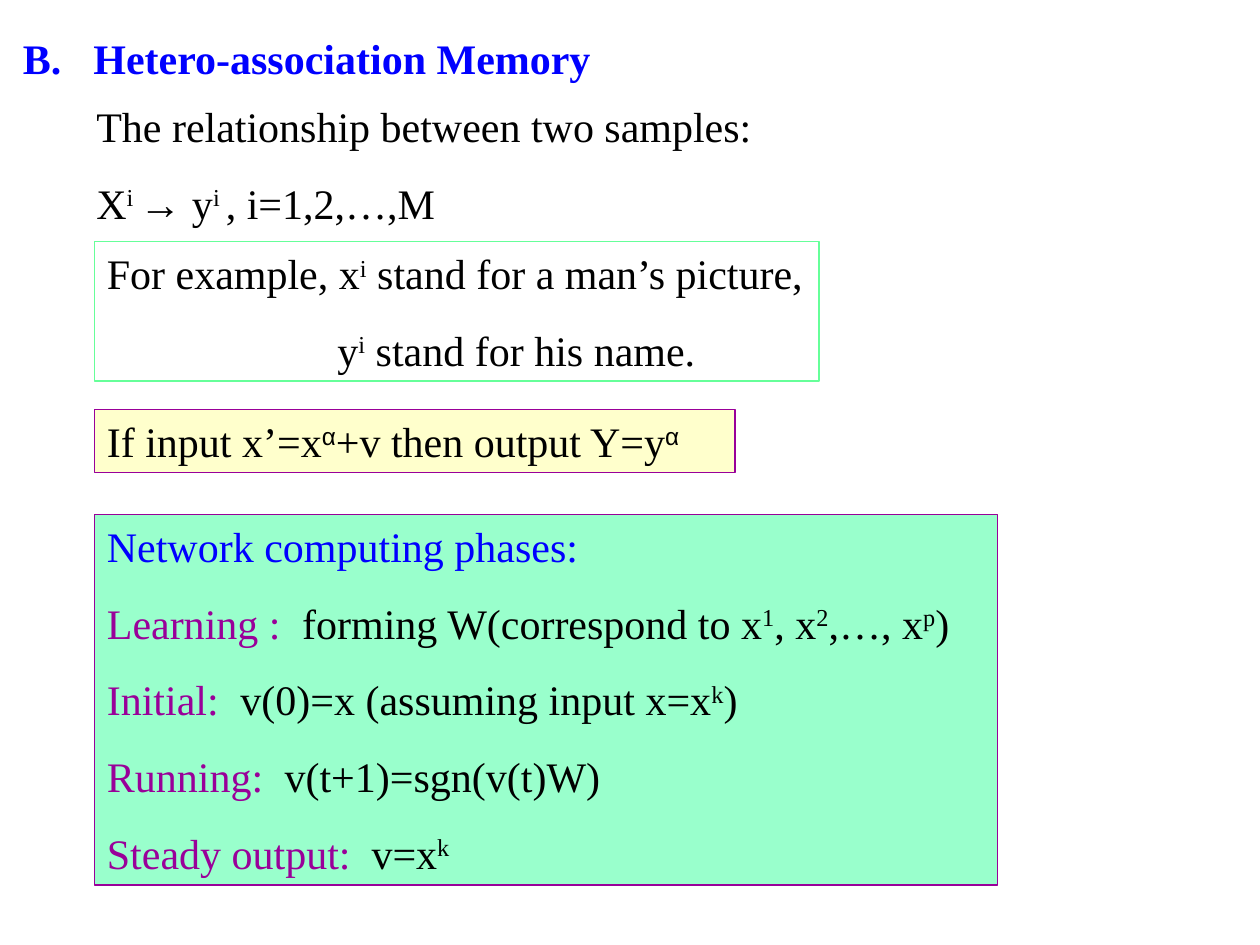
from pptx import Presentation
from pptx import util as u
from pptx.dml.color import RGBColor
from pptx.enum import shapes, text

UNIT = u.Inches(1) / 12  # grid step: 120 columns by 90 rows
BLUE, PLUM, BLACK = "0000FF", "990099", "000000"


def paint(color, code):
    color.rgb = RGBColor.from_string(code)


def write(par, parts, ink, bold, stop):
    """Fill a paragraph: ^ marks superscript, a tab ends a label, stop is in inches."""
    par.space_before, par.line_spacing = u.Pt(15), u.Pt(28.8)
    par.alignment = text.PP_ALIGN.LEFT
    if stop:
        props = par._p.get_or_add_pPr()
        props.set("marL", str(u.Inches(stop)))
        hang = "\t" in parts[0]
        props.set("indent", str(-u.Inches(stop) if hang else 0))
    for part in parts:
        run = par.add_run()
        run.text = part.lstrip("^")
        face = "Arial" if run.text in ("α", "→") else "Times New Roman"
        style = {"name": face, "size": u.Pt(24), "bold": bold}
        for key, val in style.items():
            setattr(run.font, key, val)
        paint(run.font.color, PLUM if part.endswith("\t") else ink)
        if part.startswith("^"):
            run.font._element.set("baseline", "30000")


# Each box: grid place, fill, line, ink of first line, lines of (stop, parts)
boxes = [
    ((1, -2, 65, 15), None, None, BLUE, [
        (0.56, ["B.\tHetero-association Memory"])]),
    ((8, 9, 72, 13.3), None, None, BLACK, [
        (0, ["The relationship between two samples:"]),
        (0, ["X", "^i ", "→", " y", "^i ", ", i=1,2,…,M"])]),
    ((9, 23, 69, 13.3), None, "66FF99", BLACK, [
        (0, ["For example, x", "^i", " stand for a man’s picture,"]),
        (1.83, ["y", "^i", " stand for his name."])]),
    ((9, 39, 61, 6), "FFFFCC", PLUM, BLACK, [
        (0, ["If input x’=x", "^α", "+v then output Y=y", "^α"])]),
    ((9, 49, 86, 35.3), "99FFCC", PLUM, BLUE, [
        (0, ["Network computing phases:"]),
        (1.55, ["Learning :\t", "forming W(correspond to x", "^1",
                ", x", "^2", ",…, x", "^p", ")"]),
        (1.06, ["Initial:\t", "v(0)=x (assuming input x=x", "^k", ")"]),
        (1.41, ["Running:\t", "v(t+1)=sgn(v(t)W)"]),
        (2.1, ["Steady output:\t", "v=x", "^k"])]),
]

deck = Presentation()
deck.slide_width, deck.slide_height = u.Inches(10), u.Inches(7.5)
slide = deck.slides.add_slide(deck.slide_layouts[6])

for num, (place, fill, line, ink, rows) in enumerate(boxes):
    spot = [round(n * UNIT) for n in place]
    if line:
        box = slide.shapes.add_shape(shapes.MSO_SHAPE.RECTANGLE, *spot)
        box.shadow.inherit = False
        box.line.width = u.Pt(0.75)
        paint(box.line.color, line)
        if fill:
            box.fill.solid()
            paint(box.fill.fore_color, fill)
        else:
            box.fill.background()
    else:
        box = slide.shapes.add_textbox(*spot)
    title = num == 0
    frame = box.text_frame
    frame.word_wrap = True
    anchor = text.MSO_ANCHOR
    frame.vertical_anchor = anchor.MIDDLE if title else anchor.TOP
    for row, (stop, parts) in enumerate(rows):
        par = frame.add_paragraph() if row else frame.paragraphs[0]
        write(par, parts, BLACK if row else ink, title, stop)

deck.save("out.pptx")
